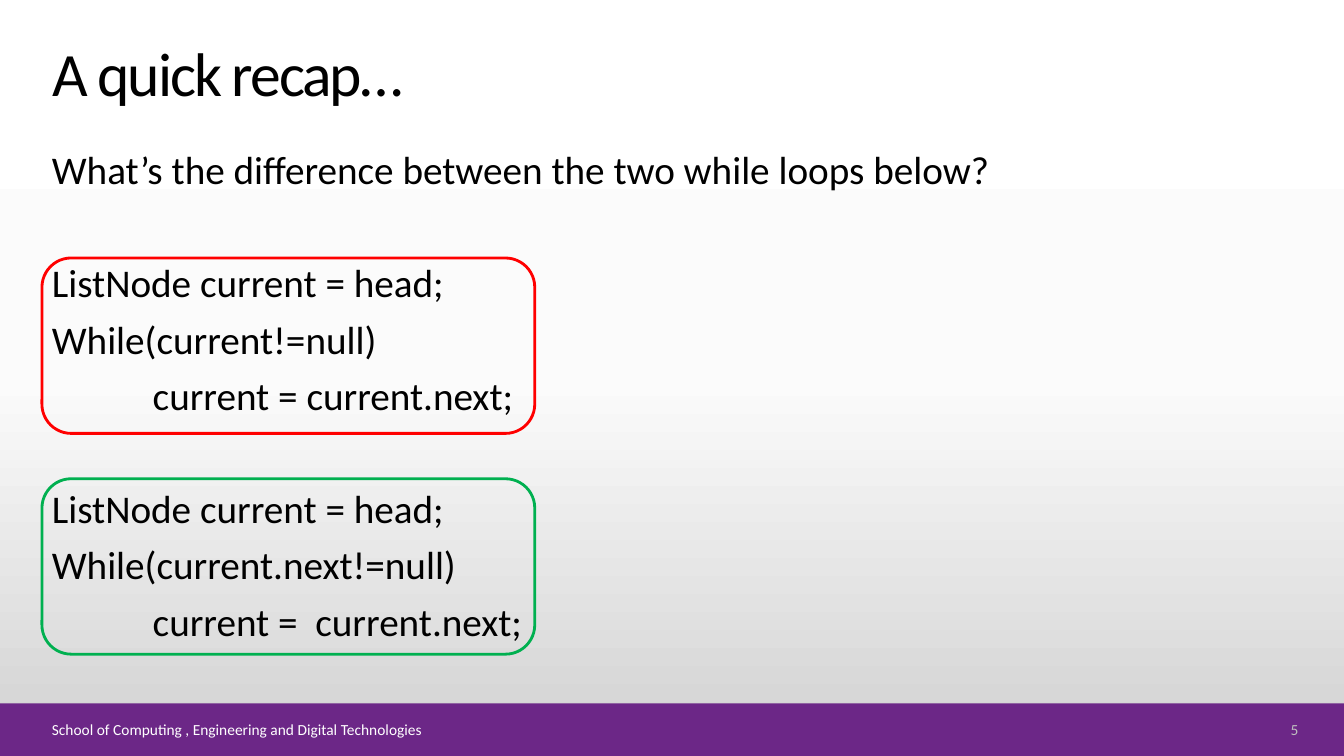
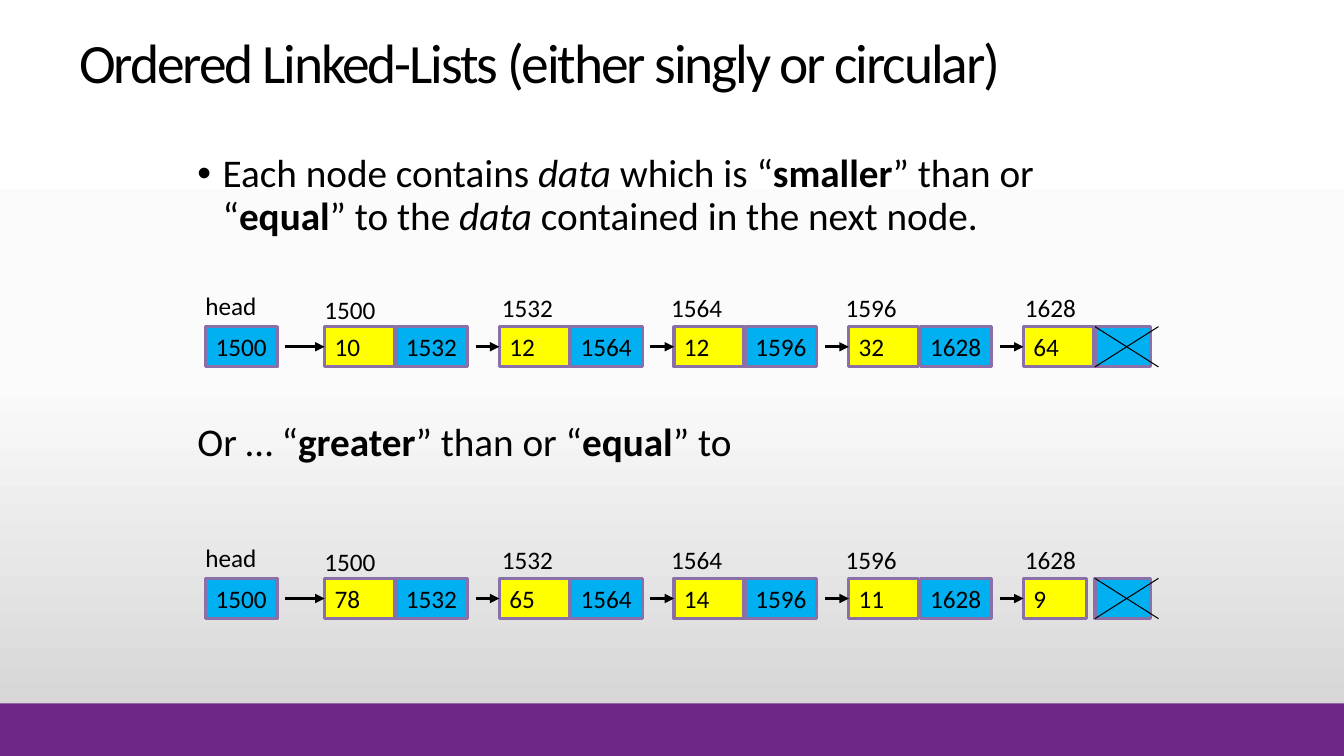
from copy import deepcopy

from lxml import etree
from pptx import Presentation
from pptx.dml.color import RGBColor
from pptx.enum.shapes import MSO_CONNECTOR, MSO_SHAPE
from pptx.enum.text import MSO_ANCHOR, MSO_AUTO_SIZE, PP_ALIGN
from pptx.oxml.ns import qn
from pptx.util import Pt

RECT = MSO_SHAPE.RECTANGLE
ROUND = MSO_SHAPE.ROUNDED_RECTANGLE
STRAIGHT = MSO_CONNECTOR.STRAIGHT
MIDDLE = MSO_ANCHOR.MIDDLE
BOTTOM = MSO_ANCHOR.BOTTOM
LEFT = PP_ALIGN.LEFT
RIGHT = PP_ALIGN.RIGHT
FIXED = MSO_AUTO_SIZE.NONE

BLACK = "000000"
WHITE = "FFFFFF"
GREY = "BFBFBF"
PURPLE = "6C2787"
EDGE = "8970A9"
BLUE = "00B0F0"
YELLOW = "FFFF00"
FONT = "Calibri"


def tint(code):
    return RGBColor.from_string(code)


def style(para, size, code=BLACK, align=LEFT):
    para.alignment = align
    for run in para.runs:
        run.font.name = FONT
        run.font.size = Pt(size)
        run.font.color.rgb = tint(code)


deck = Presentation()
deck.slide_width = Pt(960)
deck.slide_height = Pt(540)
master = deck.slide_master

fill = master.background.fill
fill.gradient()
fill.gradient_angle = 270
stops = master.element.find(".//" + qn("a:gsLst"))
stops.append(deepcopy(stops[0]))
for stop, (place, code) in zip(
    fill.gradient_stops, [(0, WHITE), (0.5, "FBFBFB"), (1, "D1D1D1")]
):
    stop.position = place
    stop.color.rgb = tint(code)

slides = []
for words, x, y, w, h, size in [
    ("A quick recap…", 30, 19.5, 738, 62.5, 44),
    ("Ordered Linked-Lists (either singly or circular)", 49.5, 9.5, 700, 62, 39.6),
]:
    slide = deck.slides.add_slide(deck.slide_layouts[5])
    title = slide.shapes.title
    title.left, title.top, title.width, title.height = Pt(x), Pt(y), Pt(w), Pt(h)
    frame = title.text_frame
    frame.text = words
    frame.auto_size = FIXED
    frame.vertical_anchor = BOTTOM
    para = frame.paragraphs[0]
    para.line_spacing = 0.9
    style(para, size)
    para.runs[0].font._element.set("spc", "-150")
    slides.append(slide)
recap, order = slides

band = recap.shapes.add_shape(RECT, 0, Pt(502.5), Pt(960), Pt(37.5))
band.shadow.inherit = False
band.fill.solid()
band.fill.fore_color.rgb = tint(PURPLE)
band.line.fill.background()
master.shapes.element.insert(2, band._element)

body = recap.shapes.add_textbox(Pt(30), Pt(104.4), Pt(904), Pt(382))
frame = body.text_frame
frame.word_wrap = True
lines = [
    ("What’s the difference between the two while loops below?", 10, 0),
    ("ListNode current = head;", 50.4, 0),
    ("While(current!=null)", 10, 0),
    ("current = current.next;", 10, 72),
    ("ListNode current = head;", 50.4, 0),
    ("While(current.next!=null)", 10, 0),
    ("current =  current.next;", 10, 72),
]
for i, (words, gap, dent) in enumerate(lines):
    para = frame.add_paragraph() if i else frame.paragraphs[0]
    para.text = words
    para.line_spacing = 0.9
    para.space_before = Pt(gap)
    para._p.get_or_add_pPr().set("marL", str(Pt(dent)))
    style(para, 28)

for words, x, w, code, align in [
    ("5", 880.5, 54, GREY, RIGHT),
    ("School of Computing , Engineering and Digital Technologies", 30, 839, WHITE, LEFT),
]:
    foot = recap.shapes.add_textbox(Pt(x), Pt(512.5), Pt(w), Pt(16.5))
    frame = foot.text_frame
    frame.word_wrap = True
    frame.vertical_anchor = MIDDLE
    frame.text = words
    style(frame.paragraphs[0], 11, code, align)

for y, code in [(184.3, "FF0000"), (342, "00B050")]:
    ring = recap.shapes.add_shape(ROUND, Pt(30), Pt(y), Pt(352), Pt(125.3))
    ring.shadow.inherit = False
    ring.fill.background()
    ring.line.color.rgb = tint(code)
    ring.line.width = Pt(2)

body = order.shapes.add_textbox(Pt(134), Pt(106.5), Pt(667.5), Pt(356.5))
frame = body.text_frame
frame.word_wrap = True
rule = [
    ("Each node contains ", ""), ("data ", "i"), ("which is “", ""),
    ("smaller", "b"), ("” than or “", ""), ("equal", "b"),
    ("” to the ", ""), ("data ", "i"), ("contained in the next node.", ""),
]
other = [
    ("Or … “", ""), ("greater", "b"), ("” than or “", ""),
    ("equal", "b"), ("” to", ""),
]
first = frame.paragraphs[0]
for para, parts, gap in [(first, rule, 10), (frame.add_paragraph(), other, 131)]:
    para.line_spacing = 0.9
    para.space_before = Pt(gap)
    for words, look in parts:
        run = para.add_run()
        run.text = words
        run.font.bold = look == "b"
        run.font.italic = look == "i"
    style(para, 28)
props = first._p.get_or_add_pPr()
props.set("marL", str(Pt(18)))
props.set("indent", str(Pt(-18)))
etree.SubElement(props, qn("a:buFont")).set("typeface", "Arial")
etree.SubElement(props, qn("a:buChar")).set("char", "•")

HIGH = 28.8
START = 231.9
STEP = 124.8
HALF = 51
spots = [1500, 1532, 1564, 1596, 1628]
marks = [224.6, 351.4, 472.3, 596.9, 725]

for top, values, last in [
    (233.3, [10, 12, 12, 32, 64], 50),
    (413.1, [78, 65, 14, 11, 9], 45),
]:
    group = order.shapes.add_group_shape().shapes
    mid = top + HIGH / 2
    end = START + 4 * STEP + HALF
    cells = [("1500", 146.9, HALF, BLUE)]
    tags = [("head", 139.7, top - 29.5)]
    for i, value in enumerate(values):
        x = START + i * STEP
        final = i == 4
        cells.append((str(value), x, last if final else 50, YELLOW))
        follow = "" if final else str(spots[i + 1])
        cells.append((follow, x + HALF, 39.6 if final else HALF, BLUE))
        tags.append((str(spots[i]), marks[i], top - (28 if i else 26.5)))

    strokes = [
        (end, top, end + 45.4, top + HIGH, None),
        (end + 45.4, top, end, top + HIGH, None),
    ]
    texts = []
    for words, x, w, code in cells:
        cell = group.add_shape(RECT, Pt(x), Pt(top), Pt(w), Pt(HIGH))
        cell.shadow.inherit = False
        cell.fill.solid()
        cell.fill.fore_color.rgb = tint(code)
        cell.line.color.rgb = tint(EDGE)
        cell.line.width = Pt(2.25)
        texts.append((cell, words))
        if code == YELLOW:
            reach = 28 if x == START else 17
            strokes.append((x - reach, mid, x, mid, cell))
    for words, x, y in tags:
        texts.append((group.add_textbox(Pt(x), Pt(y), Pt(52), Pt(HIGH)), words))

    for box, words in texts:
        if words:
            frame = box.text_frame
            frame.word_wrap = True
            frame.margin_right = 0
            frame.vertical_anchor = MIDDLE
            frame.text = words
            style(frame.paragraphs[0], 18)

    for x, y, far, low, node in strokes:
        link = group.add_connector(STRAIGHT, Pt(x), Pt(y), Pt(far), Pt(low))
        link.line.color.rgb = tint(BLACK)
        link.line.width = Pt(2.25 if node else 0.75)
        if node:
            link.end_connect(node, 1)
            tip = etree.SubElement(link.line._get_or_add_ln(), qn("a:tailEnd"))
            tip.set("type", "triangle")
        etree.SubElement(link._element.spPr, qn("a:effectLst"))

deck.save("out.pptx")
